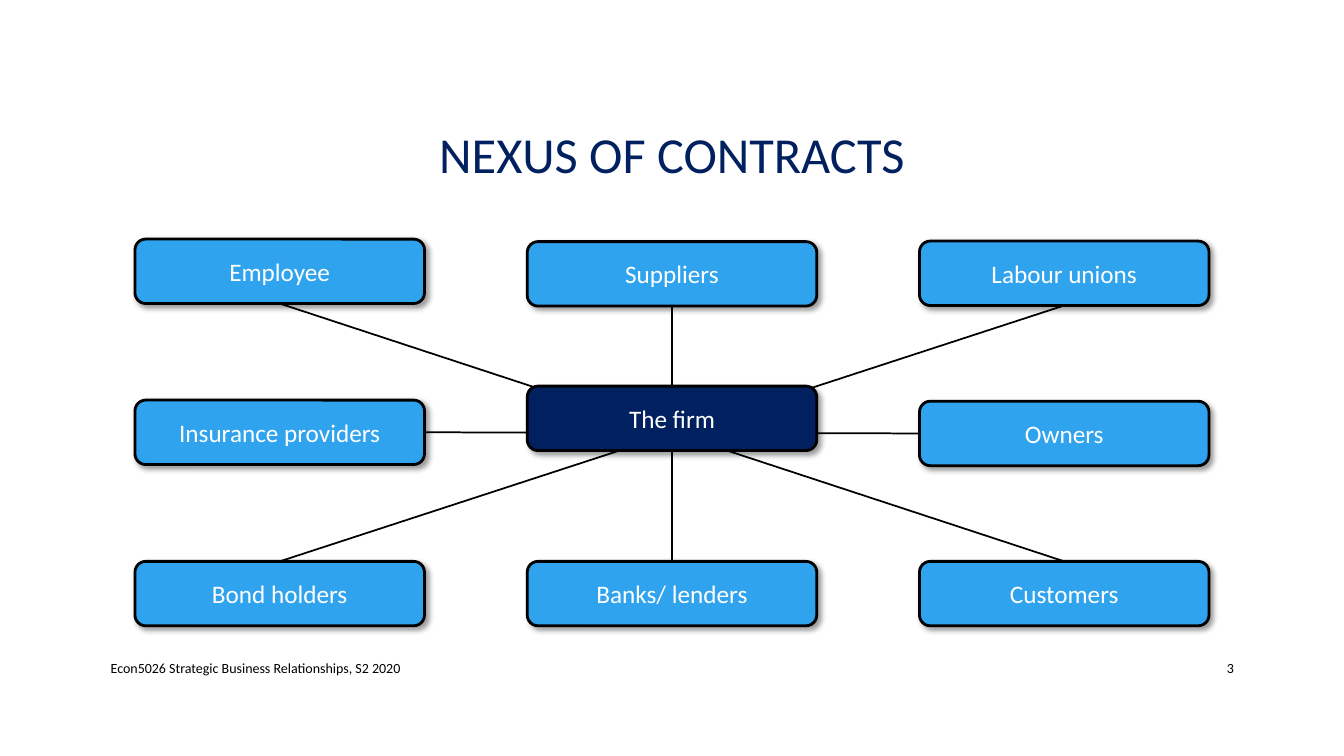
"""Build the nexus of contracts slide: a firm linked to eight stakeholders."""
from lxml import etree
from pptx import Presentation
from pptx.dml.color import RGBColor
from pptx.enum.shapes import MSO_CONNECTOR, MSO_SHAPE
from pptx.enum.text import MSO_ANCHOR, PP_ALIGN
from pptx.oxml import parse_xml
from pptx.oxml.ns import qn
from pptx.util import Pt

LEFT, CENTER, RIGHT = PP_ALIGN.LEFT, PP_ALIGN.CENTER, PP_ALIGN.RIGHT
MIDDLE = MSO_ANCHOR.MIDDLE
ROUNDED = MSO_SHAPE.ROUNDED_RECTANGLE
STRAIGHT = MSO_CONNECTOR.STRAIGHT
TOP_SIDE, LEFT_SIDE, BOTTOM_SIDE, RIGHT_SIDE = range(4)

COLORS = {"navy": "002060", "blue": "2FA3EE", "black": "000000", "white": "FFFFFF"}
FONT = "Calibri"

TEXTS = [
    ("NEXUS OF CONTRACTS", (72, 49, 816, 126), 36, "navy", CENTER, 0.9),
    ("3", (828, 463, 60.5, 28.8), 10, "black", RIGHT, None),
    ("Econ5026 Strategic Business Relationships, S2 2020",
     (72, 463, 525.6, 28.8), 10, "black", LEFT, None),
]
STAKEHOLDERS = [
    ("Employee", 0, 170.8),
    ("Suppliers", 1, 172.6),
    ("Labour unions", 2, 172.2),
    ("Insurance providers", 0, 285.8),
    ("Owners", 2, 286.6),
    ("Bond holders", 0, 401),
    ("Banks/ lenders", 1, 401),
    ("Customers", 2, 401),
]
FIRM = ("The firm", 1, 275.8)
LINKS = [
    ("Employee", BOTTOM_SIDE, "Customers", TOP_SIDE),
    ("Bond holders", TOP_SIDE, "Labour unions", BOTTOM_SIDE),
    ("Suppliers", BOTTOM_SIDE, "Banks/ lenders", TOP_SIDE),
    ("Insurance providers", RIGHT_SIDE, "Owners", LEFT_SIDE),
]
BOX_W, BOX_H, FIRST_X, STEP_X = 206.8, 46, 96.4, 280.2
SHADOW = (
    '<a:effectLst xmlns:a="http://schemas.openxmlformats.org/drawingml/2006/main">'
    '<a:outerShdw blurRad="50800" dist="38100" dir="2700000" algn="tl" rotWithShape="0">'
    '<a:srgbClr val="000000"><a:alpha val="40000"/></a:srgbClr>'
    '</a:outerShdw></a:effectLst>'
)


def rgb(name):
    return RGBColor.from_string(COLORS[name])


def write(sp, text, size, color, align, spacing=None):
    tf = sp.text_frame
    tf.word_wrap = True
    tf.vertical_anchor = MIDDLE
    p = tf.paragraphs[0]
    p.text = text
    p.alignment = align
    if spacing:
        p.line_spacing = spacing
    p.font.name = FONT
    p.font.size = Pt(size)
    p.font.color.rgb = rgb(color)


def add_text(s, text, box, *style):
    write(s.shapes.add_textbox(*map(Pt, box)), text, *style)


def add_box(s, text, column, top, fill):
    x = FIRST_X + column * STEP_X
    sp = s.shapes.add_shape(ROUNDED, Pt(x), Pt(top), Pt(BOX_W), Pt(BOX_H))
    sp.fill.solid()
    sp.fill.fore_color.rgb = rgb(fill)
    sp.line.color.rgb = rgb("black")
    sp.line.width = Pt(2)
    sp.element.spPr.append(parse_xml(SHADOW))
    write(sp, text, 18, "white", CENTER)
    return sp


def add_link(s, start, start_side, end, end_side):
    line = s.shapes.add_connector(STRAIGHT, start.left, start.top, end.left, end.top)
    line.begin_connect(start, start_side)
    line.end_connect(end, end_side)
    line.line.color.rgb = rgb("black")
    line.line.width = Pt(1.25)
    etree.SubElement(line.element.spPr, qn("a:effectLst"))


def main():
    prs = Presentation()
    prs.slide_width, prs.slide_height = Pt(960), Pt(540)
    s = prs.slides.add_slide(prs.slide_layouts[6])
    for text in TEXTS:
        add_text(s, *text)
    boxes = {row[0]: add_box(s, *row, "blue") for row in STAKEHOLDERS}
    for start, start_side, end, end_side in LINKS:
        add_link(s, boxes[start], start_side, boxes[end], end_side)
    add_box(s, *FIRM, "navy")
    prs.save("out.pptx")


if __name__ == "__main__":
    main()
